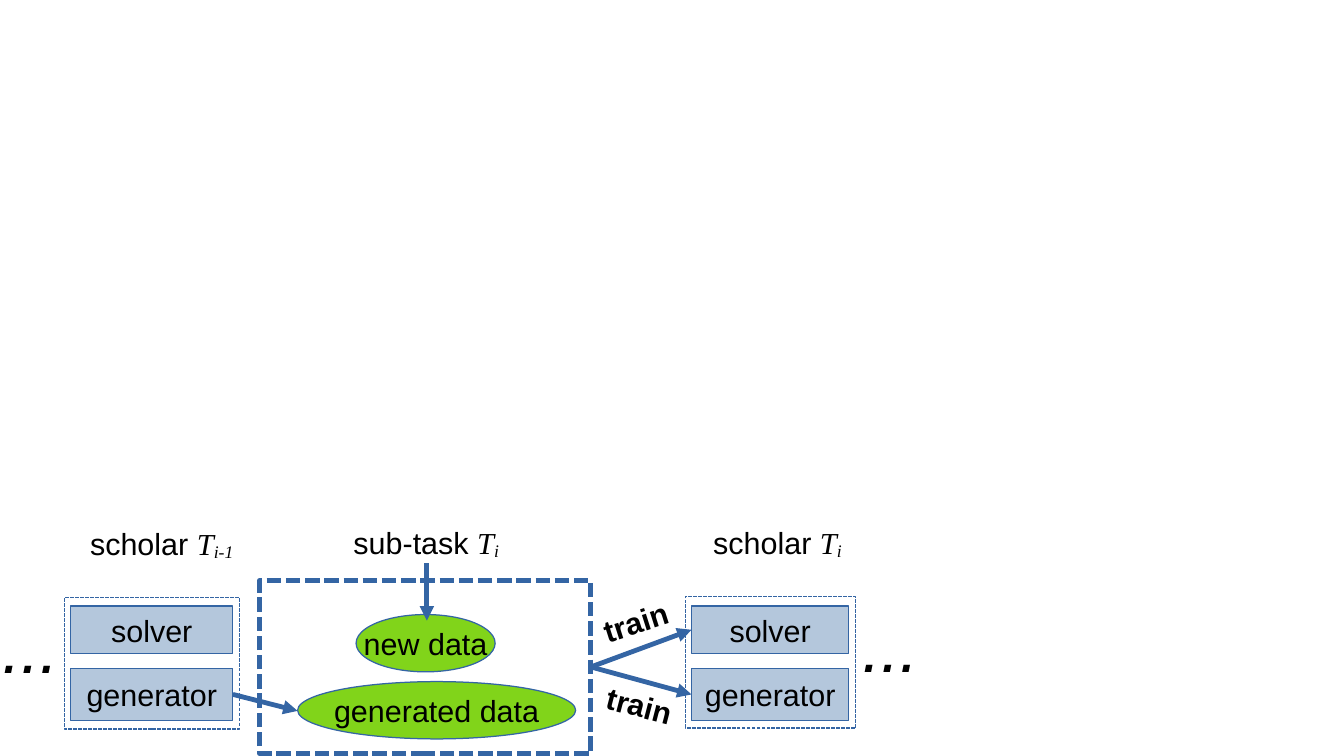
"""Draw one step of generative replay: a scholar, its sub-task and the next scholar."""
from dataclasses import dataclass

import lxml.etree
import pptx
import pptx.dml.color
import pptx.enum.dml
import pptx.enum.shapes
import pptx.enum.text
import pptx.oxml.ns
import pptx.util

COLUMNS, ROWS = 110.2, 62
WIDTH, HEIGHT = pptx.util.Inches(11.02), pptx.util.Inches(6.2)
RECTANGLE = pptx.enum.shapes.MSO_SHAPE.RECTANGLE
OVAL = pptx.enum.shapes.MSO_SHAPE.OVAL
TOP, LEFT, BOTTOM, RIGHT = range(4)


@dataclass(frozen=True)
class Theme:
    stroke: str = "3465A4"
    model: str = "B4C7DC"
    data: str = "81D41A"
    ink: str = "000000"
    sans: str = "Arial"
    serif: str = "Times New Roman"
    body: float = 18
    dots: float = 40
    hairline: float = 0
    thick: float = 2.83


@dataclass(frozen=True)
class Area:
    column: float
    row: float
    columns: float
    rows: float


@dataclass(frozen=True)
class Node:
    area: Area
    text: str = ""
    fill: str = ""
    outline: float = 0
    kind: int = RECTANGLE


@dataclass(frozen=True)
class Label:
    area: Area
    text: str
    symbol: str = ""
    subscript: str = ""
    size: float = 18
    bold: bool = False
    italic: bool = False
    rotation: float = 0


@dataclass(frozen=True)
class Scholar:
    column: float
    columns: float
    frame_row: float


THEME = Theme()
SCHOLARS = [Scholar(5.8, 13.3, 49), Scholar(56.7, 12.9, 48.9)]
NEW_DATA = Node(Area(29.2, 50.4, 11.4, 4.7), "new data", THEME.data, kind=OVAL)
GENERATED_DATA = Node(Area(24.4, 55.9, 22.8, 4.7), "generated data", THEME.data, kind=OVAL)
SUB_TASK = Node(Area(21.3, 47.6, 27.15, 14.2), outline=THEME.thick)
LABELS = [
    Label(Area(28, 42.5, 16.9, 5.3), "sub-task ", "T", "i"),
    Label(Area(6.4, 42.6, 18.1, 5.3), "scholar ", "T", "i-1"),
    Label(Area(57.5, 42.5, 17.3, 5.3), "scholar ", "T", "i"),
    Label(Area(48.8, 48.8, 8.3, 6.6), "train", bold=True, rotation=342.3),
    Label(Area(48.4, 55.9, 8.3, 6.6), "train", bold=True, rotation=14.6),
    Label(Area(-0.8, 49.2, 11, 7.2), "...", size=THEME.dots, italic=True),
    Label(Area(69.7, 49.1, 11, 7.2), "...", size=THEME.dots, italic=True),
]


def across(columns: float) -> int:
    return round(WIDTH * columns / COLUMNS)


def down(rows: float) -> int:
    return round(HEIGHT * rows / ROWS)


def bounds(area: Area) -> tuple:
    return across(area.column), down(area.row), across(area.columns), down(area.rows)


def colour(value: str) -> pptx.dml.color.RGBColor:
    return pptx.dml.color.RGBColor.from_string(value)


def style_run(run, family: str, size: float, bold: bool = False, italic: bool = False) -> None:
    run.font.name = family
    run.font.size = pptx.util.Pt(size)
    run.font.bold = bold
    run.font.italic = italic
    run.font.color.rgb = colour(THEME.ink)


def draw_node(slide, node: Node):
    shape = slide.shapes.add_shape(node.kind, *bounds(node.area))
    shape.shadow.inherit = False
    shape.line.color.rgb = colour(THEME.stroke)
    shape.line.width = pptx.util.Pt(node.outline)
    if node.fill:
        shape.fill.solid()
        shape.fill.fore_color.rgb = colour(node.fill)
    else:
        shape.fill.background()
        shape.line.dash_style = pptx.enum.dml.MSO_LINE.SQUARE_DOT
    if node.text:
        frame = shape.text_frame
        frame.text = node.text
        frame.word_wrap = False
        frame.vertical_anchor = pptx.enum.text.MSO_ANCHOR.MIDDLE
        paragraph = frame.paragraphs[0]
        paragraph.alignment = pptx.enum.text.PP_ALIGN.CENTER
        style_run(paragraph.runs[0], THEME.sans, THEME.body)
    return shape


def draw_label(slide, label: Label) -> None:
    caption = slide.shapes.add_textbox(*bounds(label.area))
    caption.rotation = label.rotation
    caption.text_frame.word_wrap = True
    paragraph = caption.text_frame.paragraphs[0]
    paragraph.text = label.text
    style_run(paragraph.runs[0], THEME.sans, label.size, label.bold, label.italic)
    for part in filter(None, (label.symbol, label.subscript)):
        run = paragraph.add_run()
        run.text = part
        style_run(run, THEME.serif, label.size, italic=True)
    if label.subscript:
        paragraph.runs[-1].font._element.set("baseline", "-8000")


def draw_arrow(slide, start: tuple, end: tuple):
    arrow = slide.shapes.add_connector(
        pptx.enum.shapes.MSO_CONNECTOR.STRAIGHT,
        across(start[0]), down(start[1]), across(end[0]), down(end[1]),
    )
    arrow.line.color.rgb = colour(THEME.stroke)
    arrow.line.width = pptx.util.Pt(THEME.thick)
    qualified = pptx.oxml.ns.qn
    lxml.etree.SubElement(arrow.line._get_or_add_ln(), qualified("a:tailEnd"), type="triangle")
    lxml.etree.SubElement(arrow._element.spPr, qualified("a:effectLst"))
    return arrow


def draw_scholar(slide, scholar: Scholar) -> tuple:
    solver = draw_node(slide, Node(
        Area(scholar.column, 49.7, scholar.columns, 3.9), "solver", THEME.model))
    generator = draw_node(slide, Node(
        Area(scholar.column, 54.8, scholar.columns, 4.3), "generator", THEME.model))
    draw_node(slide, Node(
        Area(scholar.column - 0.5, scholar.frame_row, scholar.columns + 1.05, 10.8)))
    return solver, generator


def main() -> None:
    deck = pptx.Presentation()
    deck.slide_width, deck.slide_height = WIDTH, HEIGHT
    slide = deck.slides.add_slide(deck.slide_layouts[6])

    (_, old_generator), trained = [draw_scholar(slide, scholar) for scholar in SCHOLARS]
    for data in (NEW_DATA, GENERATED_DATA):
        draw_node(slide, data)
    sub_task = draw_node(slide, SUB_TASK)

    replay = draw_arrow(slide, (19.1, 57), (24.4, 58.3))
    replay.begin_connect(old_generator, RIGHT)
    for learner in trained:
        training = draw_arrow(slide, (48.4, 54.7), (56.7, 54.7))
        training.begin_connect(sub_task, RIGHT)
        training.end_connect(learner, LEFT)
    for label in LABELS:
        draw_label(slide, label)
    draw_arrow(slide, (35, 46.2), (35, 50.9))

    deck.save("out.pptx")


if __name__ == "__main__":
    main()
